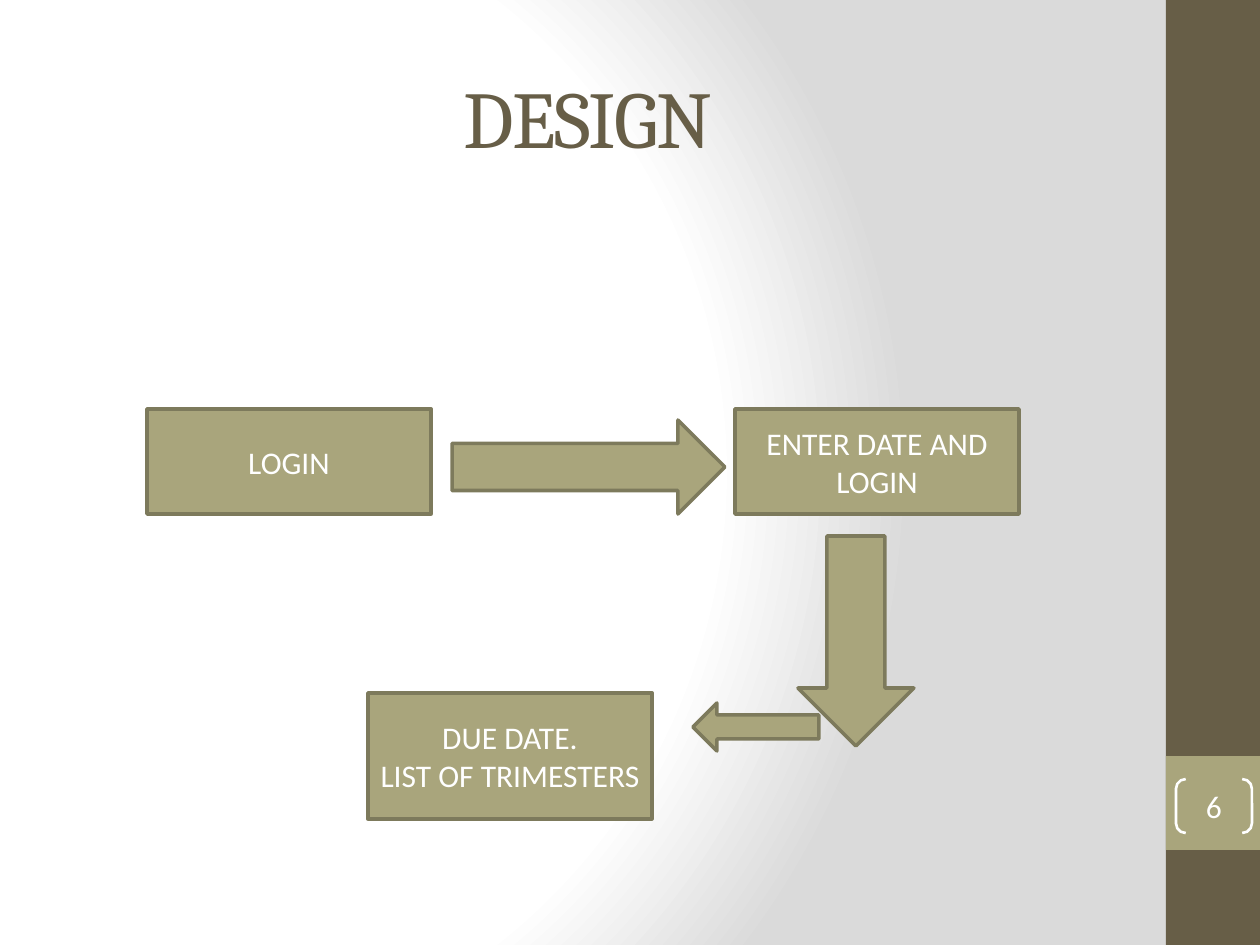
"""Build the DESIGN slide: a login flow of three boxes joined by block arrows."""
from pptx import Presentation
from pptx.dml.color import RGBColor
from pptx.enum.shapes import MSO_SHAPE as Shape
from pptx.enum.text import MSO_ANCHOR as Anchor, MSO_AUTO_SIZE as AutoSize, PP_ALIGN as Align
from pptx.oxml import parse_xml
from pptx.util import Emu, Pt

PX = 914400 / 126
BROWN = RGBColor(0x67, 0x5E, 0x47)
OLIVE = RGBColor(0xA9, 0xA5, 0x7C)
OUTLINE = RGBColor(0x7D, 0x7A, 0x5C)
WHITE = RGBColor(0xFF, 0xFF, 0xFF)
GREY = RGBColor(0xDA, 0xDA, 0xDA)

HEADING = "DESIGN"
HEADING_BOX = (63, 38, 1050, 157)
HEADING_FONT = {"name": "Cambria", "size": Pt(46), "color": BROWN}
BODY_FONT = {"name": "Calibri", "size": Pt(18), "color": WHITE}
BACKDROP = [(0, WHITE), (75, WHITE), (100, GREY)]

SIDEBAR = [
    ((1166, 0, 94, 945), BROWN),
    ((1166, 756, 94, 94), OLIVE),
]
STEPS = [
    ((147, 409, 284, 105), ["LOGIN"]),
    ((735, 409, 284, 105), ["ENTER DATE AND LOGIN"]),
    ((368, 693, 284, 126), ["DUE DATE.", "LIST OF TRIMESTERS"]),
]
ARROWS = [
    (Shape.RIGHT_ARROW, (452, 420, 273, 94)),
    (Shape.DOWN_ARROW, (798, 536, 116, 210)),
    (Shape.LEFT_ARROW, (693, 703, 126, 48)),
]
PAGE_NUMBER = "6"
PAGE_BOX = (1176, 779, 76, 54)


def emu(box):
    return [Emu(round(px * PX)) for px in box]


def write(frame, lines, font_values):
    frame.word_wrap = True
    frame.vertical_anchor = Anchor.MIDDLE
    frame.text = "\n".join(lines)
    for paragraph in frame.paragraphs:
        paragraph.alignment = Align.CENTER
        font = paragraph.runs[0].font
        for key, value in font_values.items():
            if key == "color":
                font.color.rgb = value
            else:
                setattr(font, key, value)


def draw(slide, preset, box, fill=None, line=None, width=2):
    shape = slide.shapes.add_shape(preset, *emu(box))
    shape.shadow.inherit = False
    if fill is None:
        shape.fill.background()
    else:
        shape.fill.solid()
        shape.fill.fore_color.rgb = fill
    if line is None:
        shape.line.fill.background()
    else:
        shape.line.color.rgb = line
        shape.line.width = Pt(width)
    return shape


def paint_backdrop(slide):
    stops = "".join(
        f'<a:gs pos="{percent * 1000}"><a:srgbClr val="{color}"/></a:gs>'
        for percent, color in BACKDROP
    )
    gradient = parse_xml(
        '<a:gradFill xmlns:a="http://schemas.openxmlformats.org/drawingml/2006/main"'
        f' rotWithShape="1"><a:gsLst>{stops}</a:gsLst><a:path path="circle">'
        '<a:fillToRect l="20000" t="50000" r="100000" b="50000"/></a:path></a:gradFill>'
    )
    slide.background.fill.solid()
    properties = slide.element.cSld.bg.bgPr
    properties.replace(properties[0], gradient)


def main():
    deck = Presentation()
    deck.slide_width, deck.slide_height = emu((1260, 945))
    slide = deck.slides.add_slide(deck.slide_layouts[5])
    paint_backdrop(slide)

    heading = slide.shapes.title
    heading.left, heading.top, heading.width, heading.height = emu(HEADING_BOX)
    write(heading.text_frame, [HEADING], HEADING_FONT)
    heading.text_frame.auto_size = AutoSize.NONE
    heading.text_frame.paragraphs[0].runs[0].font._element.set("spc", "-100")

    for box, fill in SIDEBAR:
        draw(slide, Shape.RECTANGLE, box, fill)
    for box, lines in STEPS:
        step = draw(slide, Shape.RECTANGLE, box, OLIVE, OUTLINE)
        write(step.text_frame, lines, BODY_FONT)
    for preset, box in ARROWS:
        draw(slide, preset, box, OLIVE, OUTLINE)

    page = draw(slide, Shape.DOUBLE_BRACKET, PAGE_BOX, line=WHITE, width=1.5)
    page.adjustments[0] = 0.18
    write(page.text_frame, [PAGE_NUMBER], BODY_FONT)
    for side in ("left", "top", "right", "bottom"):
        setattr(page.text_frame, f"margin_{side}", 0)

    deck.save("out.pptx")


if __name__ == "__main__":
    main()
